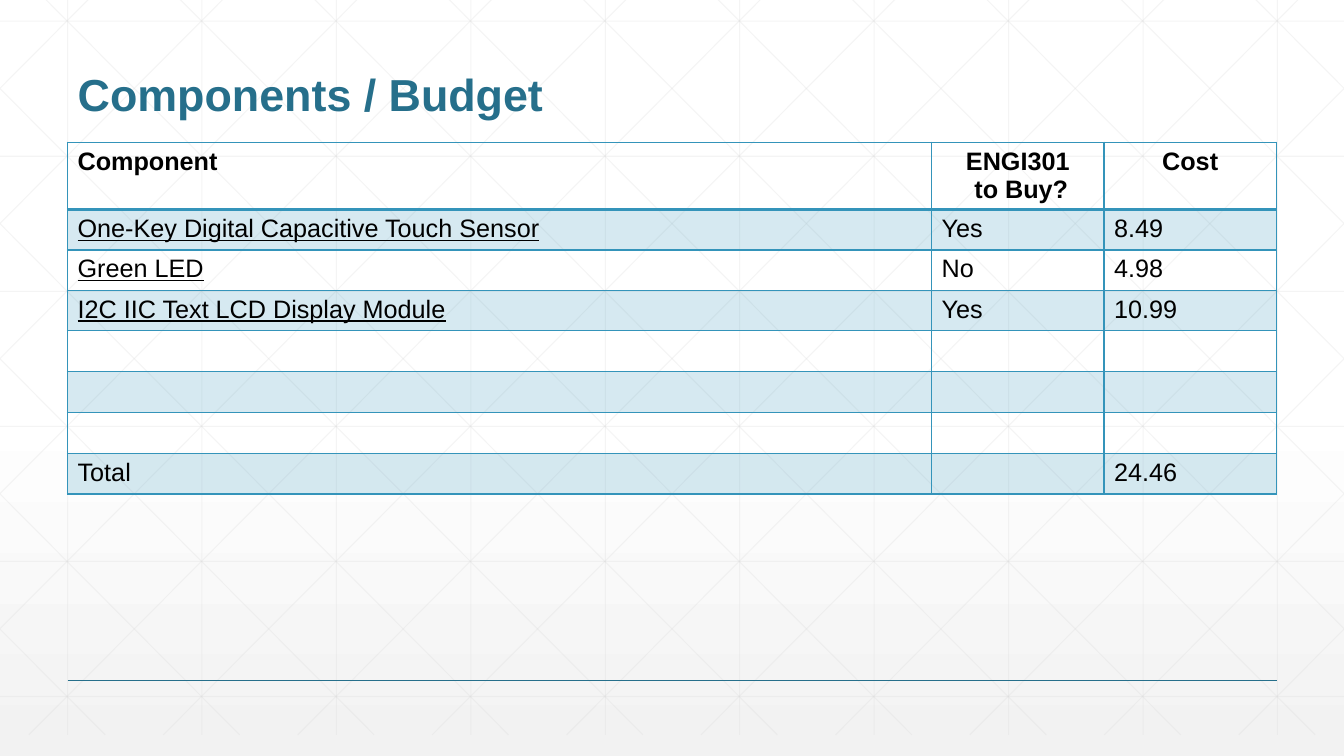
"""Builds the Components / Budget slide: a cost table on a faint lattice."""
from dataclasses import dataclass

from pptx import Presentation
from pptx.dml.color import RGBColor as RGB
from pptx.enum.shapes import MSO_CONNECTOR as CONN
from pptx.enum.text import MSO_ANCHOR as ANCHOR, PP_ALIGN as ALIGN
from pptx.oxml.ns import qn
from pptx.util import Inches, Pt
from lxml.etree import SubElement

TITLE = "Components / Budget"
HEADER = [["Component"], ["ENGI301", " to Buy?"], ["Cost"]]
ITEMS = [
    ("One-Key Digital Capacitive Touch Sensor", "Yes", "8.49"),
    ("Green LED", "No", "4.98"),
    ("I2C IIC Text LCD Display Module", "Yes", "10.99"),
]
SPARE_ROWS = 3
TOTAL = ("Total", "", "24.46")


@dataclass(frozen=True)
class Theme:
    font: str = "Arial"
    title_size: int = 32
    body_size: int = 18
    title: str = "266F8B"
    text: str = "000000"
    accent: str = "3494BA"
    lattice: str = "D8D8D8"
    bg_top: str = "FFFFFF"
    bg_bottom: str = "F2F2F2"
    band_alpha: int = 20
    lattice_alpha: int = 25


THEME = Theme()
WIDTH, HEIGHT = 13.33, 7.5
MARGIN, CONTENT_W = 0.67, 12
TOP, BOTTOM = -0.21, 7.29
PITCH, ROW_PITCH = 4 / 3, 1.34
DIAG_START, DIAG_RUN = 0.25, 7.46
TABLE_TOP, HEADER_H, ROW_H = 1.41, 0.67, 0.4
COL_WIDTHS = [8.57, 1.71, 1.71]


def set_alpha(element, percent):
    color = element.findall(".//" + qn("a:srgbClr"))[-1]
    SubElement(color, qn("a:alpha"), val=str(percent * 1000))


def add_line(s, start, end, color, width, alpha=100):
    points = [Inches(v) for v in (*start, *end)]
    line = s.shapes.add_connector(CONN.STRAIGHT, *points)
    line.line.color.rgb = RGB.from_string(color)
    line.line.width = Pt(width)
    props = line.element.spPr
    if alpha < 100:
        set_alpha(props, alpha)
    SubElement(props, qn("a:effectLst"))


def lattice_lines():
    slope = (BOTTOM - TOP) / DIAG_RUN
    for i in range(10):
        x = MARGIN + i * PITCH
        yield (x, TOP), (x, BOTTOM)
    for i in range(6):
        y = 0.21 + i * ROW_PITCH
        yield (0, y), (WIDTH, y)
    for i in range(-5, 10):
        x = DIAG_START + i * PITCH
        x1, x2 = max(x, 0), min(x + DIAG_RUN, WIDTH)
        y1, y2 = (TOP + (edge - x) * slope for edge in (x1, x2))
        yield (x1, y1), (x2, y2)
        yield (WIDTH - x1, y1), (WIDTH - x2, y2)


def add_text(p, text, size, color, bold=False, underline=False):
    r = p.add_run()
    r.text = text
    font = r.font
    font.name, font.size = THEME.font, Pt(size)
    font.bold, font.underline = bold, underline
    font.color.rgb = RGB.from_string(color)


def add_borders(cell, row):
    props = cell._tc.get_or_add_tcPr()
    widths = {"L": 1, "R": 1, "T": 2 if row == 1 else 1, "B": 2 if row == 0 else 1}
    for side, width in widths.items():
        ln = SubElement(props, qn(f"a:ln{side}"), w=str(Pt(width)))
        fill = SubElement(ln, qn("a:solidFill"))
        SubElement(fill, qn("a:srgbClr"), val=THEME.accent)


def fill_cell(cell, row, col, lines):
    add_borders(cell, row)
    if row % 2:
        cell.fill.solid()
        cell.fill.fore_color.rgb = RGB.from_string(THEME.accent)
        set_alpha(cell._tc.tcPr, THEME.band_alpha)
    else:
        cell.fill.background()
    tf = cell.text_frame
    for i, text in enumerate(lines):
        p = tf.add_paragraph() if i else tf.paragraphs[0]
        if row == 0 and col > 0:
            p.alignment = ALIGN.CENTER
        if text:
            linked = col == 0 and 0 < row <= len(ITEMS)
            add_text(p, text, THEME.body_size, THEME.text, row == 0, linked)


def add_budget(s):
    body = ITEMS + [("", "", "")] * SPARE_ROWS + [TOTAL]
    rows = [HEADER] + [[[text] for text in row] for row in body]
    heights = [HEADER_H] + [ROW_H] * len(body)
    frame = s.shapes.add_table(
        len(rows), len(COL_WIDTHS), Inches(MARGIN), Inches(TABLE_TOP),
        Inches(sum(COL_WIDTHS)), Inches(sum(heights)))
    table = frame.table
    table.first_row = table.horz_banding = False
    for column, width in zip(table.columns, COL_WIDTHS):
        column.width = Inches(width)
    for row, height in zip(table.rows, heights):
        row.height = Inches(height)
    for i, row in enumerate(rows):
        for j, lines in enumerate(row):
            fill_cell(table.cell(i, j), i, j, lines)


def set_background(s):
    fill = s.background.fill
    fill.gradient()
    fill.gradient_angle = 270
    stops = [(0.53, THEME.bg_top), (1, THEME.bg_bottom)]
    for stop, (position, color) in zip(fill.gradient_stops, stops):
        stop.position = position
        stop.color.rgb = RGB.from_string(color)


def set_title(s):
    sp = s.shapes.title
    s.shapes.element.append(sp.element)
    sp.left, sp.top = Inches(MARGIN), Inches(0.25)
    sp.width, sp.height = Inches(CONTENT_W), Inches(1)
    tf = sp.text_frame
    tf.vertical_anchor = ANCHOR.BOTTOM
    p = tf.paragraphs[0]
    p.alignment, p.line_spacing = ALIGN.LEFT, 0.9
    add_text(p, TITLE, THEME.title_size, THEME.title, bold=True)


def main():
    prs = Presentation()
    prs.slide_width, prs.slide_height = Inches(WIDTH), Inches(HEIGHT)
    s = prs.slides.add_slide(prs.slide_layouts[5])
    set_background(s)
    for start, end in lattice_lines():
        add_line(s, start, end, THEME.lattice, 0.75, THEME.lattice_alpha)
    add_line(s, (MARGIN, 6.75), (MARGIN + CONTENT_W, 6.75), THEME.title, 1)
    set_title(s)
    add_budget(s)
    prs.save("out.pptx")


if __name__ == "__main__":
    main()
